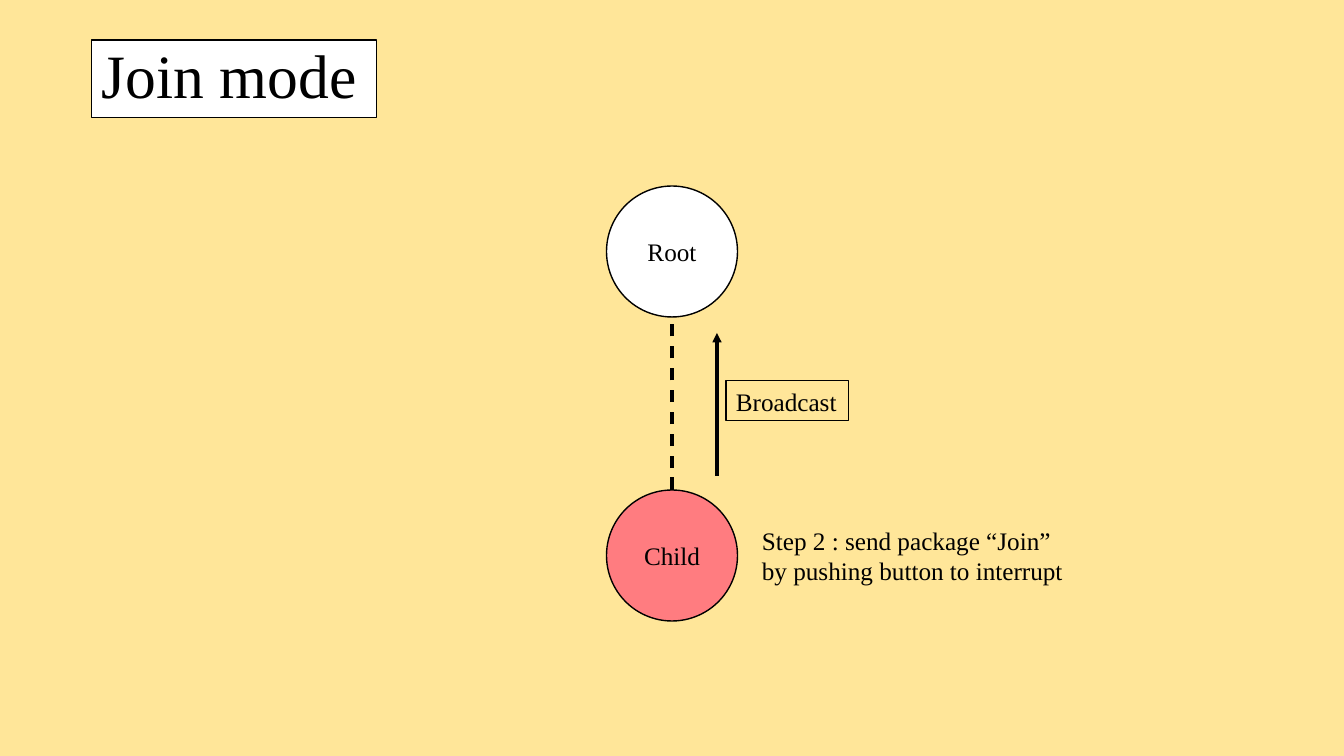
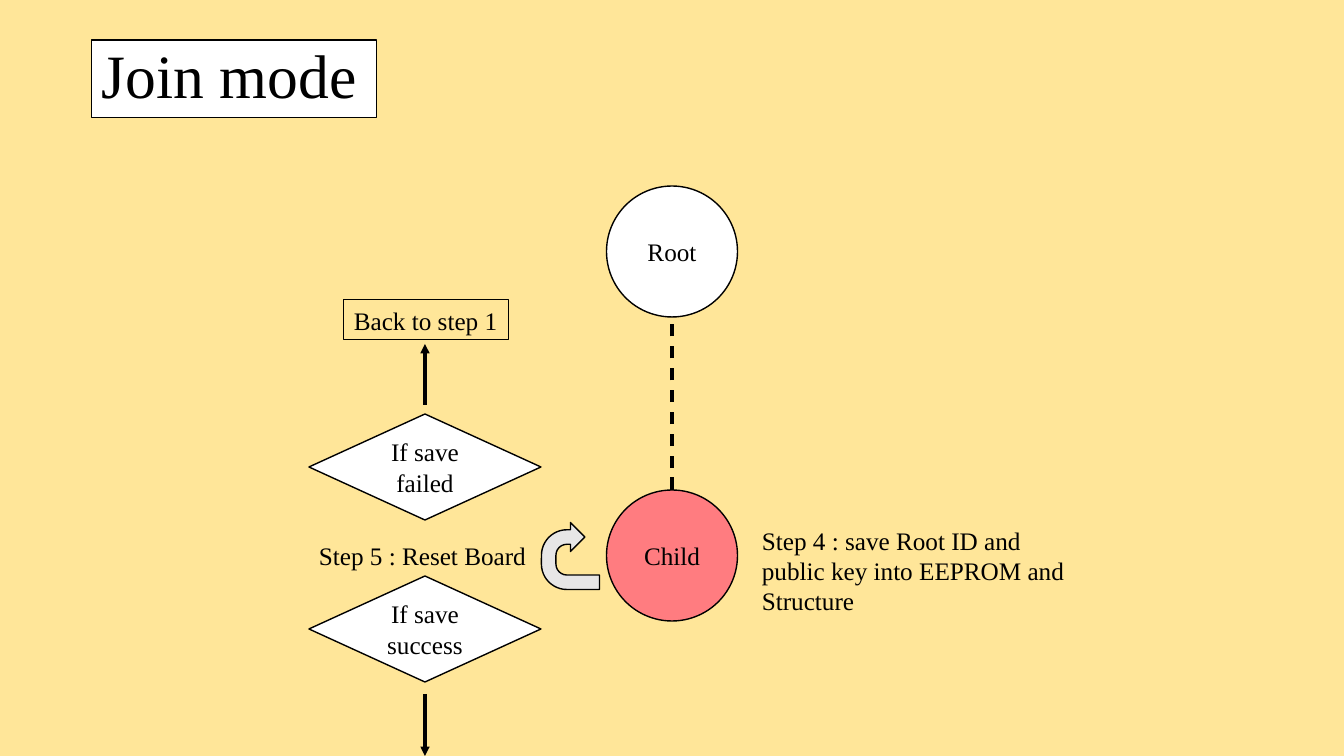
from lxml.etree import SubElement
from pptx import Presentation
from pptx.dml.color import RGBColor
from pptx.enum.dml import MSO_LINE_DASH_STYLE as Dash
from pptx.enum.shapes import MSO_CONNECTOR, MSO_SHAPE as Shape
from pptx.enum.text import MSO_ANCHOR as Anchor, PP_ALIGN as Align
from pptx.oxml.ns import qn
from pptx.util import Emu, Pt

# Shared style
PX = 914400 / 100.8
SLIDE_SIZE = (1344, 756)
FONT = "Times New Roman"
SAND, WHITE, BLACK, CORAL, GREY = "FFE699", "FFFFFF", "000000", "FF7C80", "E7E6E6"
CENTERED = {"alignment": Align.CENTER}
TITLE = {"line_spacing": 0.9}

# Shared geometry, in px
CENTER_X = 672
NODE_SIZE = 131
ROOT_TOP, CHILD_TOP = 186, 490
DIAMOND_LEFT, DIAMOND_WIDTH, DIAMOND_HEIGHT = 309, 232, 106


def px(value):
    return Emu(round(value * PX))


def color(value):
    return RGBColor.from_string(value)


def apply_format(target, values):
    for name, value in values.items():
        setattr(target, name, value)


def write(shape, text, size=18, anchor=Anchor.TOP, paragraph_format=None):
    frame = shape.text_frame
    apply_format(frame, {"word_wrap": True, "vertical_anchor": anchor})
    paragraph = frame.paragraphs[0]
    apply_format(paragraph, {"alignment": Align.LEFT, **(paragraph_format or {})})
    run = paragraph.add_run()
    run.text = text
    apply_format(run.font, {"name": FONT, "size": Pt(size)})
    run.font.color.rgb = color(BLACK)


def add_outlined(slide, kind, box, fill=None, line_width=1):
    shape = slide.shapes.add_shape(kind, *map(px, box))
    shape.shadow.inherit = False
    if fill:
        shape.fill.solid()
        shape.fill.fore_color.rgb = color(fill)
    else:
        shape.fill.background()
    shape.line.color.rgb = color(BLACK)
    shape.line.width = Pt(line_width)
    return shape


def add_symbol(slide, kind, box, text, fill=WHITE):
    """A node or decision with centred text."""
    write(add_outlined(slide, kind, box, fill), text,
          anchor=Anchor.MIDDLE, paragraph_format=CENTERED)


def add_label(slide, box, text):
    """A framed label without fill."""
    write(add_outlined(slide, Shape.RECTANGLE, box, line_width=0.75), text)


def add_note(slide, box, text):
    write(slide.shapes.add_textbox(*map(px, box)), text)


def add_vertical_line(slide, x, start, end, dashed=False):
    """A dashed link, or a solid line with an arrowhead at its end."""
    connector = slide.shapes.add_connector(
        MSO_CONNECTOR.STRAIGHT, px(x), px(start), px(x), px(end))
    connector.line.color.rgb = color(BLACK)
    connector.line.width = Pt(2.25)
    if dashed:
        connector.line.dash_style = Dash.DASH
    else:
        SubElement(connector.line._get_or_add_ln(), qn("a:tailEnd"), type="triangle")
    SubElement(connector._element.spPr, qn("a:effectLst"))


def add_join_slide(presentation):
    """Background, title and the linked Root and Child nodes."""
    slide = presentation.slides.add_slide(presentation.slide_layouts[6])
    slide.background.fill.solid()
    slide.background.fill.fore_color.rgb = color(SAND)
    title = add_outlined(slide, Shape.RECTANGLE, (92, 40, 285, 78), WHITE, 0.75)
    write(title, "Join mode", 44, Anchor.MIDDLE, TITLE)
    for text, top, fill in (("Root", ROOT_TOP, WHITE), ("Child", CHILD_TOP, CORAL)):
        box = (CENTER_X - NODE_SIZE / 2, top, NODE_SIZE, NODE_SIZE)
        add_symbol(slide, Shape.OVAL, box, text, fill)
    add_vertical_line(slide, CENTER_X, CHILD_TOP, ROOT_TOP + NODE_SIZE, dashed=True)
    return slide


def build_broadcast(presentation):
    slide = add_join_slide(presentation)
    add_vertical_line(slide, 717, 476, 333)
    add_label(slide, (726, 381, 123, 40), "Broadcast")
    add_note(slide, (752, 520, 332, 71),
             "Step 2 : send package “Join” by pushing button to interrupt")


def build_save(presentation):
    slide = add_join_slide(presentation)
    add_note(slide, (752, 520, 332, 102),
             "Step 4 : save Root ID and public key into EEPROM and Structure")
    # Reset loop beside the child
    loop = add_outlined(slide, Shape.U_TURN_ARROW, (537, 527, 67, 58), GREY)
    loop.rotation = 270
    add_note(slide, (DIAMOND_LEFT, 535, DIAMOND_WIDTH, 40), "Step 5 : Reset Board")
    # Outcomes of saving
    for text, top in (("If save failed", 414), ("If save success", 576)):
        box = (DIAMOND_LEFT, top, DIAMOND_WIDTH, DIAMOND_HEIGHT)
        add_symbol(slide, Shape.FLOWCHART_DECISION, box, text)
    middle = DIAMOND_LEFT + DIAMOND_WIDTH / 2
    for start, end in ((405, 344), (694, 756)):
        add_vertical_line(slide, middle, start, end)
    add_label(slide, (344, 300, 165, 40), "Back to step 1")


def main():
    presentation = Presentation()
    presentation.slide_width, presentation.slide_height = map(px, SLIDE_SIZE)
    build_broadcast(presentation)
    build_save(presentation)
    presentation.save("out.pptx")


if __name__ == "__main__":
    main()
